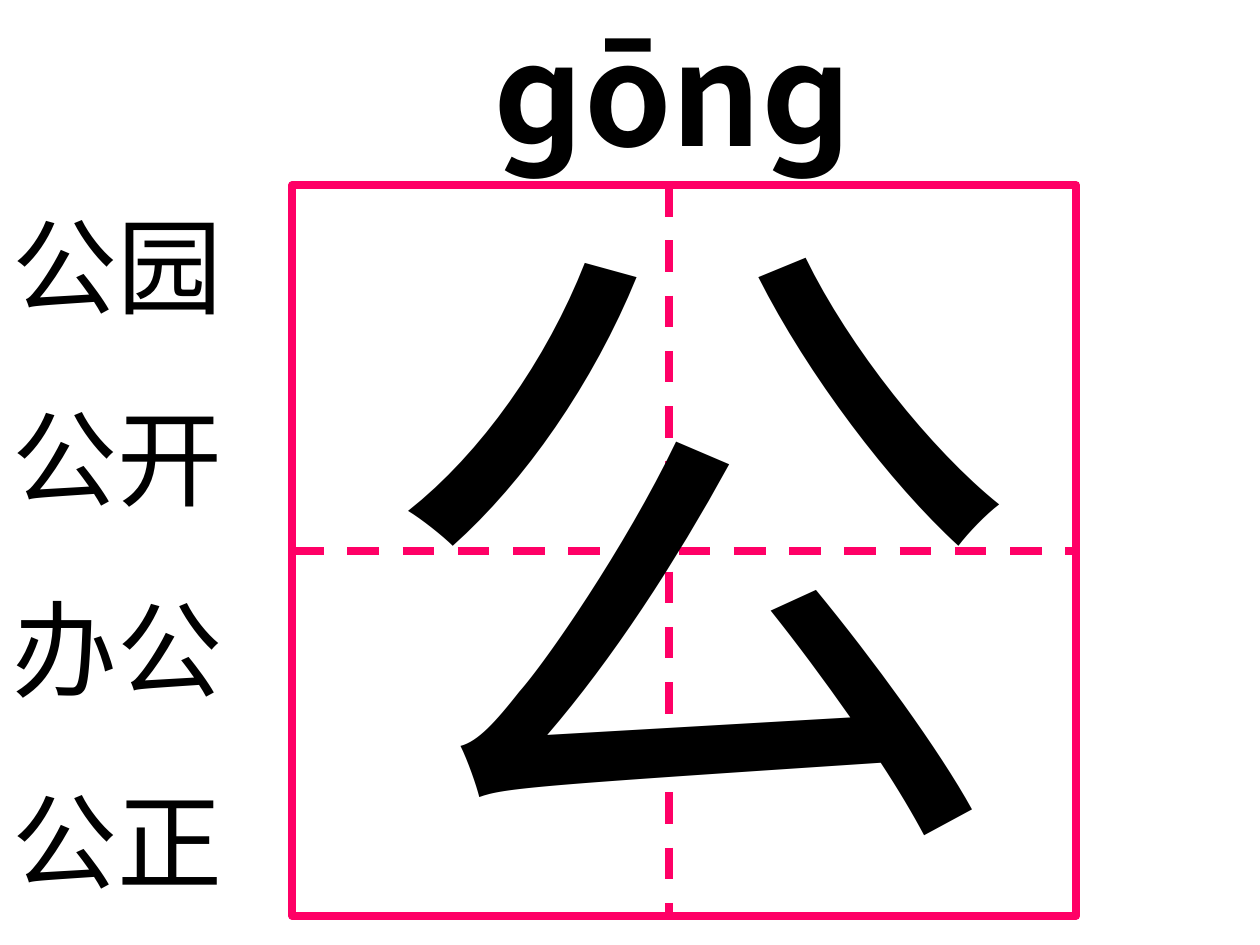
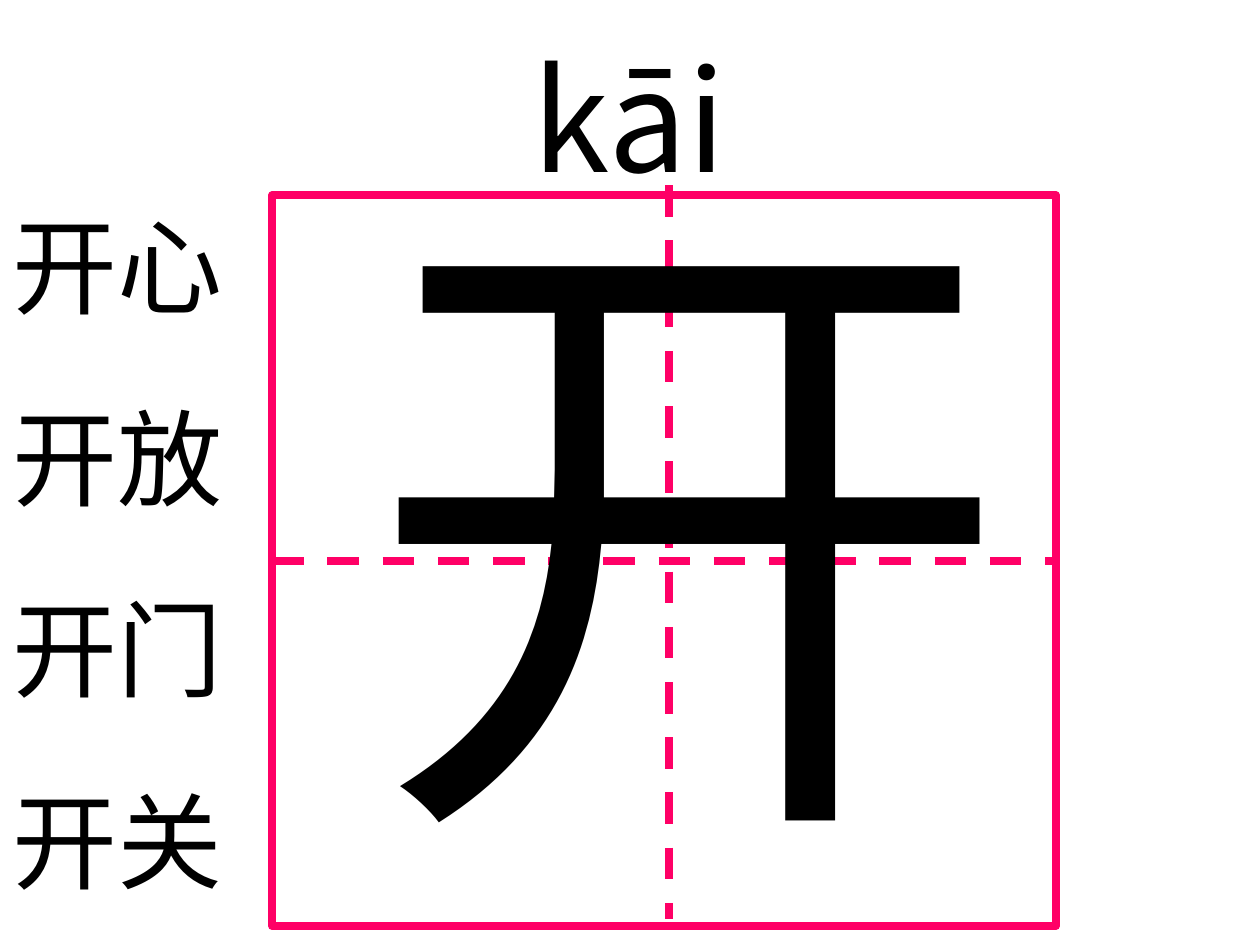
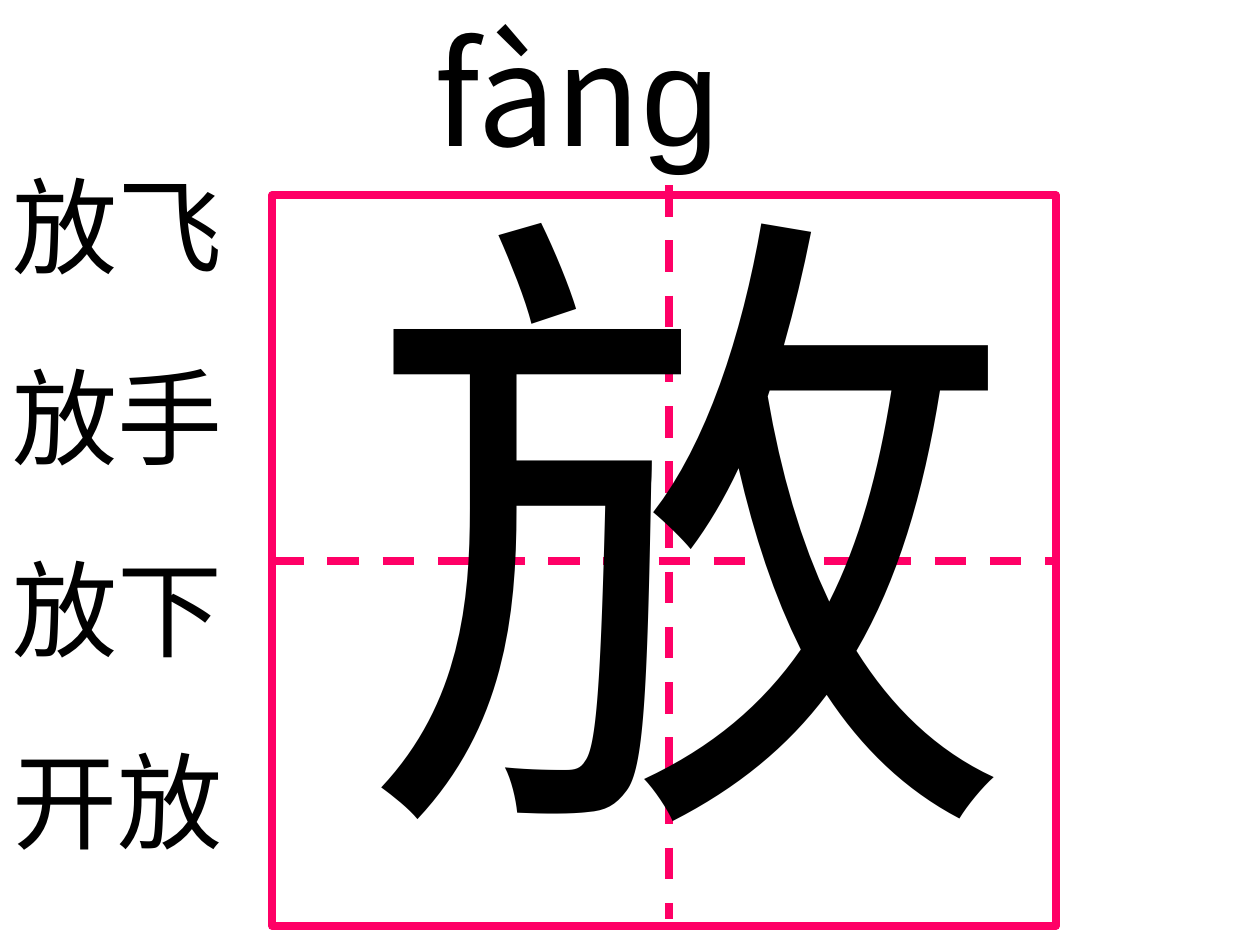
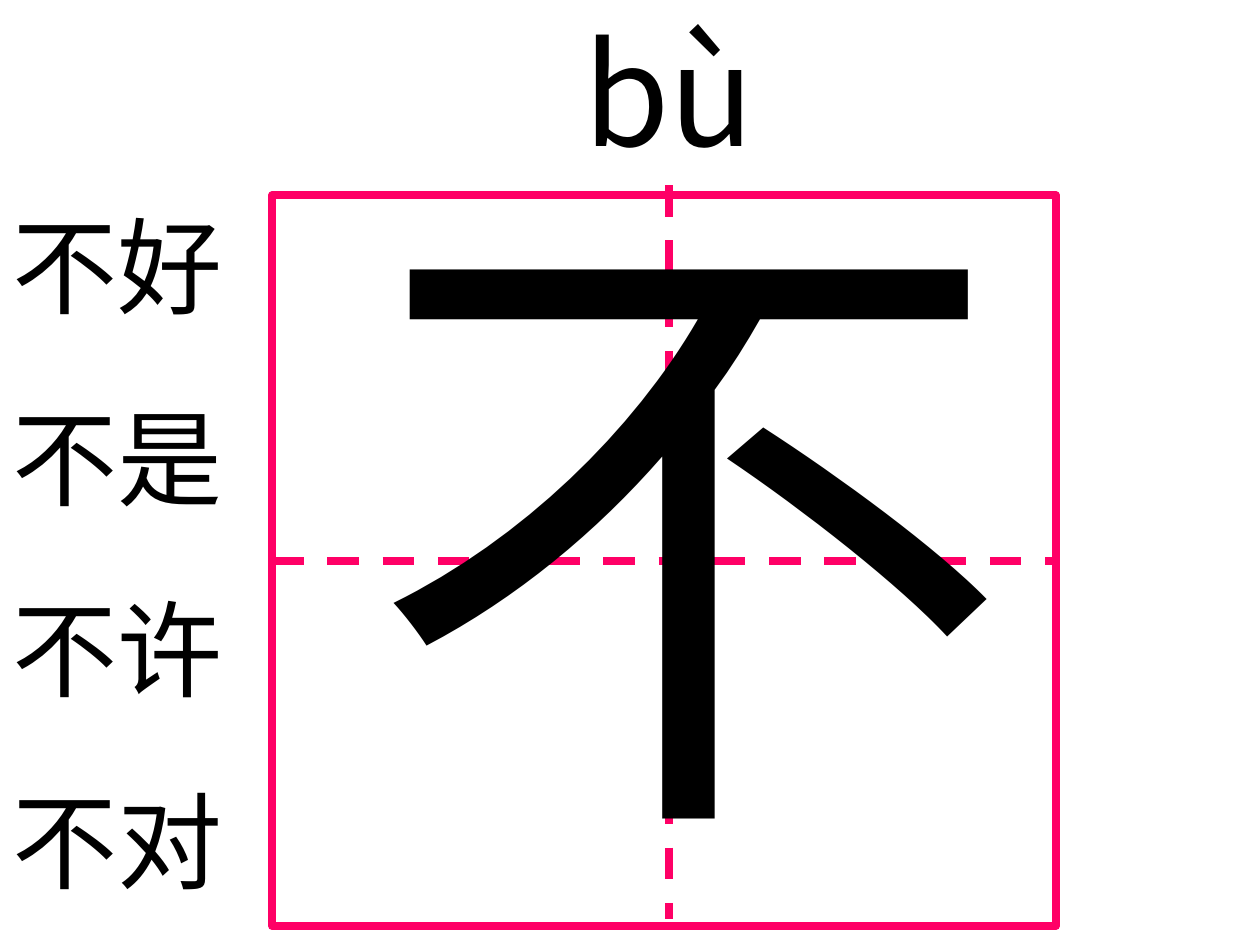
from lxml import etree
from pptx import Presentation
from pptx.dml.color import RGBColor
from pptx.enum.dml import MSO_LINE
from pptx.enum.shapes import MSO_CONNECTOR, MSO_SHAPE
from pptx.enum.text import MSO_ANCHOR, MSO_AUTO_SIZE, PP_ALIGN
from pptx.oxml.ns import qn
from pptx.util import Inches, Pt

PINK = RGBColor(0xFF, 0x00, 0x66)
BLACK = RGBColor(0x00, 0x00, 0x00)
DASH = MSO_LINE.DASH
LINE = MSO_CONNECTOR.STRAIGHT
RECT = MSO_SHAPE.RECTANGLE
TOP = MSO_ANCHOR.TOP
LEFT = PP_ALIGN.LEFT
FIT = MSO_AUTO_SIZE.SHAPE_TO_FIT_TEXT
NONE = MSO_AUTO_SIZE.NONE

SANS = "Noto Sans CJK SC"
ARIAL = "Arial"
TIMES = "Times New Roman"
CELL_W, CELL_H = 3.11, 2.9
MID_X = 5.31

CARDS = [
    dict(sound=[("ɡōnɡ", SANS)], bold=True, head=(3.82, 0, 3.15),
         sign="公", spot=(2.88, 1.07), frame=(2.32, 1.47),
         words=["公园", "公开", "办公", "公正"], top=1.55),
    dict(sound=[("kāi", SANS)], bold=False, head=(4.13, 0.21, 3.15),
         sign="开", spot=(2.8, 0.91), frame=(2.16, 1.55),
         words=["开心", "开放", "开门", "开关"], top=1.55),
    dict(sound=[("fàn", SANS), ("ɡ", ARIAL)], bold=False, head=(3.35, 0, 4.25),
         sign="放", spot=(2.8, 0.91), frame=(2.16, 1.55),
         words=["放飞", "放手", "放下", "开放"], top=1.23),
    dict(sound=[("bù", SANS)], bold=False, head=(4.53, 0, 2.6),
         sign="不", spot=(2.8, 0.91), frame=(2.16, 1.55),
         words=["不好", "不是", "不许", "不对"], top=1.55),
]


def rule(shapes, start, end, color, width, dash=None):
    line = shapes.add_connector(LINE, *[Inches(v) for v in start + end])
    line.line.color.rgb = color
    line.line.width = Pt(width)
    line.line.dash_style = dash
    etree.SubElement(line._element.spPr, qn("a:effectLst"))
    return line


def style(box, size, face=None, bold=False, wrap=True, gap=0):
    frame = box.text_frame
    frame.word_wrap = wrap
    frame.auto_size = NONE if box.is_placeholder else FIT
    frame.vertical_anchor = TOP
    for row, para in enumerate(frame.paragraphs):
        para.alignment = LEFT
        para.space_before = Pt(gap if row else 0)
        for run in para.runs:
            run.font.size = Pt(size)
            run.font.bold = bold
            run.font.color.rgb = BLACK
            if face:
                run.font.name = face


deck = Presentation()
deck.slide_width, deck.slide_height = Inches(10), Inches(7.5)

for card in CARDS:
    slide = deck.slides.add_slide(deck.slide_layouts[5])
    shapes = slide.shapes

    rule(shapes, (1.85, 4.46), (1.85, 4.46), BLACK, 0.75)

    x, y = card["frame"]
    group = shapes.add_group_shape().shapes
    frame = group.add_shape(RECT, Inches(x), Inches(y),
                            Inches(2 * CELL_W), Inches(2 * CELL_H))
    frame.shadow.inherit = False
    frame.fill.background()
    frame.line.color.rgb = PINK
    frame.line.width = Pt(4.5)
    mid = y + CELL_H
    across = rule(group, (x, mid), (x + 2 * CELL_W, mid), PINK, 4.5, DASH)
    across.begin_connect(frame, 1)
    across.end_connect(frame, 3)
    rule(shapes, (MID_X, 1.47), (MID_X, 7.29), PINK, 4.5, DASH)

    x, y = card["spot"]
    sign = shapes.add_textbox(Inches(x), Inches(y), Inches(5.34), Inches(6.27))
    sign.text_frame.text = card["sign"]
    style(sign, 370, TIMES, wrap=False)

    words = shapes.add_textbox(0, Inches(card["top"]), Inches(2.05), Inches(5.67))
    words.text_frame.text = "\n".join(card["words"])
    style(words, 60, ARIAL, gap=37.5)

    x, y, width = card["head"]
    title = shapes.title
    title.left, title.top = Inches(x), Inches(y)
    title.width, title.height = Inches(width), Inches(1.44)
    para = title.text_frame.paragraphs[0]
    for text, face in card["sound"]:
        run = para.add_run()
        run.text = text
        run.font.name = face
    style(title, 80, bold=card["bold"])

deck.save("out.pptx")
